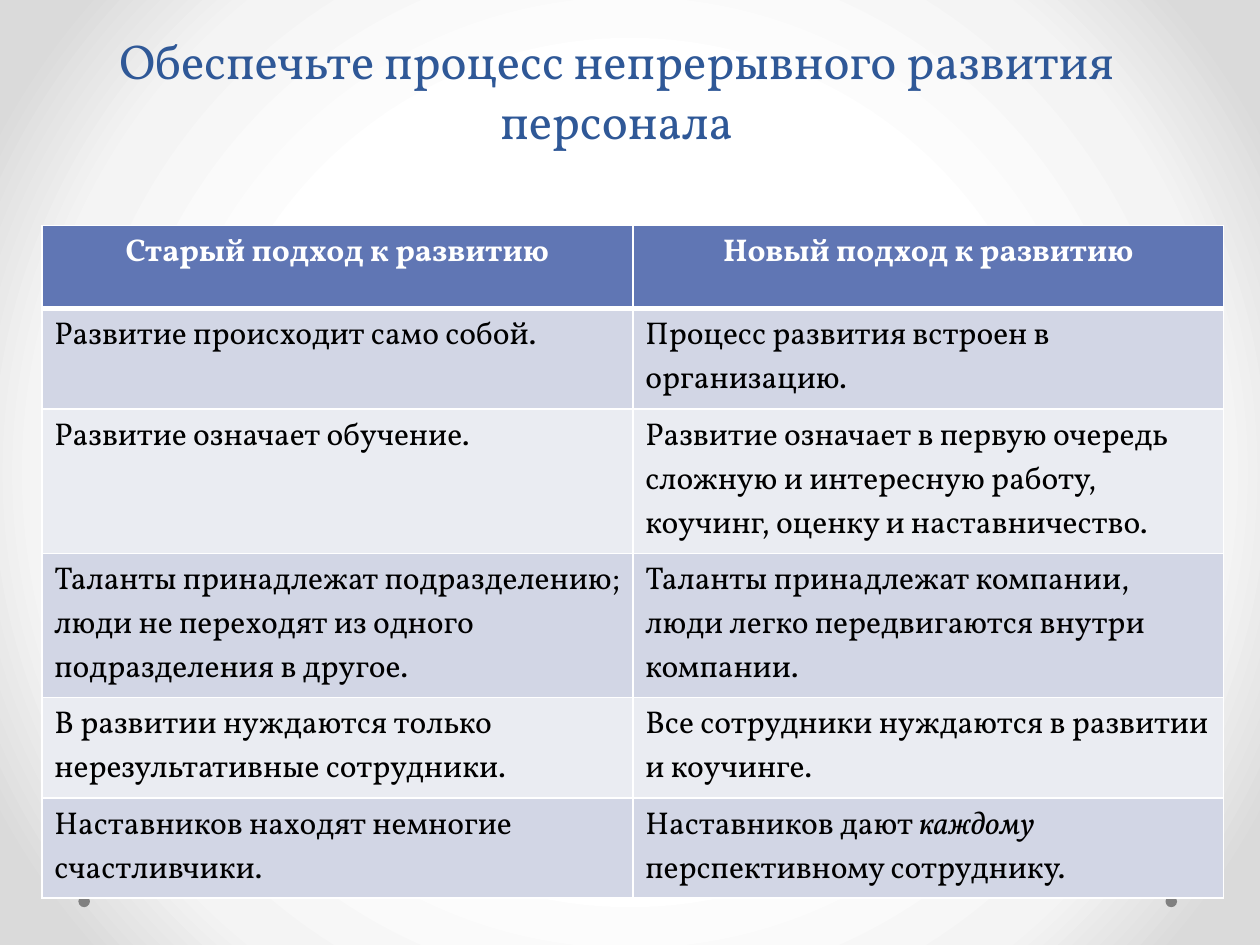
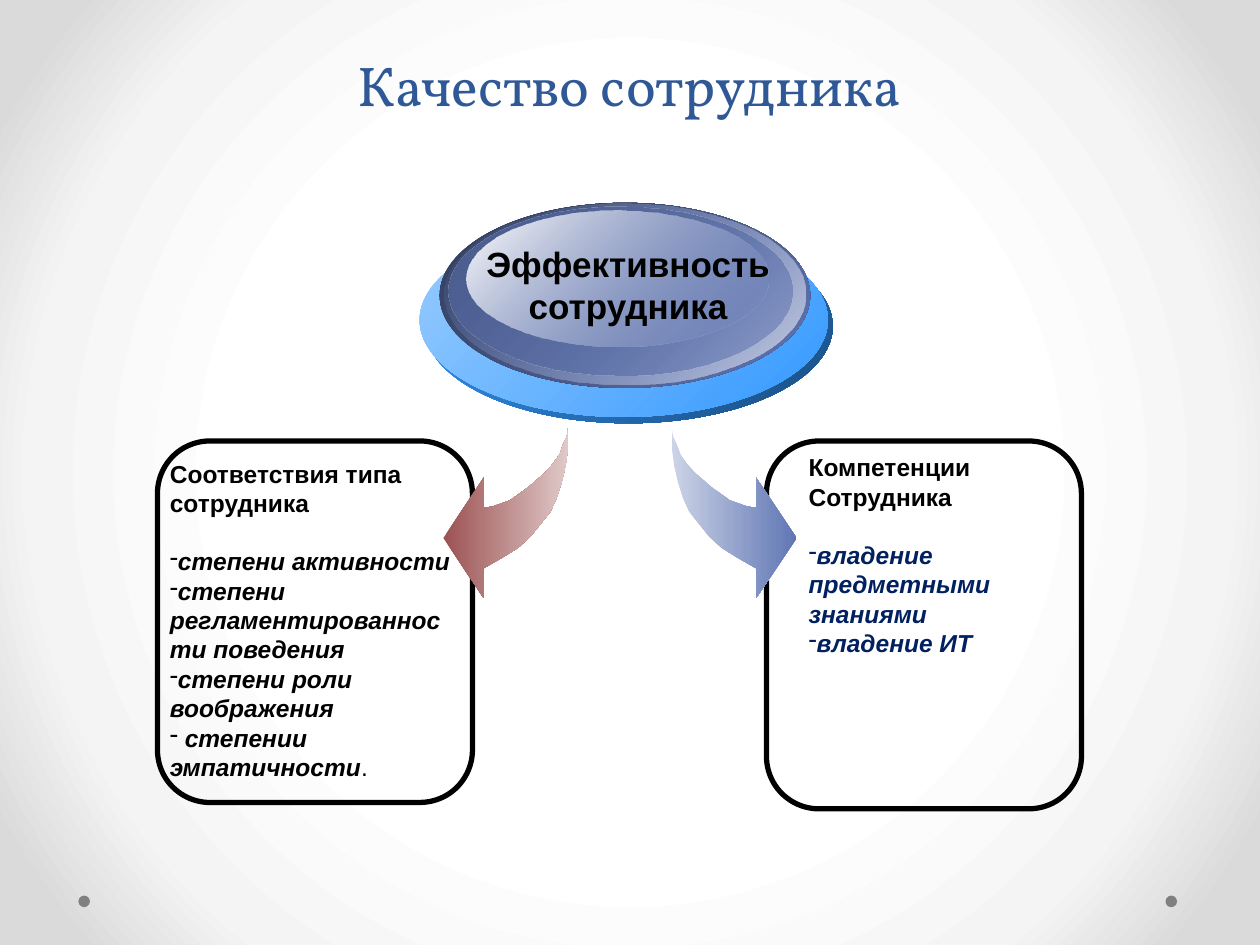
import dataclasses

import pptx
import pptx.dml.color
import pptx.enum.shapes
import pptx.enum.text
import pptx.oxml
import pptx.oxml.ns
import pptx.util
from lxml import etree

Pt = pptx.util.Pt
KIND = pptx.enum.shapes.MSO_SHAPE
SIDE = pptx.enum.text.PP_ALIGN
EDGE = pptx.enum.text.MSO_ANCHOR
qn = pptx.oxml.ns.qn


@dataclasses.dataclass(frozen=True)
class Theme:
    serif: str = "Vollkorn"
    sans: str = "Arial"
    title: str = "2F5897"
    black: str = "000000"
    white: str = "FFFFFF"
    navy: str = "002060"
    dot: str = "808080"
    blue: str = "6076B4"
    red: str = "9C5252"
    pale: str = "CDD4E7"
    rose: str = "E0C9C9"
    sky: str = "3399FF"
    mist: str = "99CCFF"
    deep: str = "1A4D80"
    dusk: str = "303B5A"
    steel: str = "4D5E90"
    haze: str = "C8CFE5"
    bands: tuple = ("D2D6E5", "EAECF2")
    back: tuple = ((50, "FFFFFF"), (76, "F4F4F4"), (92, "DADADA"))
    disc: int = 20
    cell: int = 18
    note: int = 14
    lead: float = 34.3
    gap: float = 16.5


def rgb(color):
    return pptx.dml.color.RGBColor.from_string(color)


class Deck:
    """Holds the theme and the current slide, and draws each kind of element."""

    def __init__(self, theme):
        self.theme = theme
        self.prs = pptx.Presentation()
        self.prs.slide_width, self.prs.slide_height = Pt(720), Pt(540)
        master = self.prs.slide_master
        self.blend(master.background.fill, master._element, theme.back)

    def page(self, title, size, box):
        self.slide = self.prs.slides.add_slide(self.prs.slide_layouts[6])
        for left in (44.8, 666):
            self.shape(KIND.OVAL, (left, 511.8, 6.6, 6.6), self.theme.dot)
        frame = self.text(box)
        frame.vertical_anchor = EDGE.BOTTOM
        para = self.para(frame, title, size, self.theme.title,
                         font=self.theme.serif, align=SIDE.CENTER)
        para.line_spacing = Pt(self.theme.lead)

    def blend(self, fill, root, stops, angle=None):
        fill.gradient()
        grad = root.find(".//" + qn("a:gradFill"))
        for child in list(grad):
            grad.remove(child)
        row = etree.SubElement(grad, qn("a:gsLst"))
        for pos, color, *alpha in stops:
            stop = etree.SubElement(row, qn("a:gs"), pos=str(pos * 1000))
            tone = etree.SubElement(stop, qn("a:srgbClr"), val=color)
            for part in alpha:
                etree.SubElement(tone, qn("a:alpha"), val=str(part * 1000))
        if angle is None:
            way = etree.SubElement(grad, qn("a:path"), path="circle")
            etree.SubElement(way, qn("a:fillToRect"),
                             dict.fromkeys("ltrb", "50000"))
        else:
            etree.SubElement(grad, qn("a:lin"), ang=str(angle * 60000), scaled="1")

    def paint(self, shape, fill, line=None, angle=45):
        shape.shadow.inherit = False
        if fill is None:
            shape.fill.background()
        elif isinstance(fill, str):
            shape.fill.solid()
            shape.fill.fore_color.rgb = rgb(fill)
        else:
            self.blend(shape.fill, shape._element, fill, angle)
        if line:
            shape.line.color.rgb = rgb(line)
            shape.line.width = Pt(3)
        else:
            shape.line.fill.background()

    def shape(self, kind, box, fill=None, line=None):
        shape = self.slide.shapes.add_shape(kind, *map(Pt, box))
        self.paint(shape, fill, line)

    def outline(self, points, stops):
        first, *rest = [(Pt(x), Pt(y)) for x, y in points]
        pen = self.slide.shapes.build_freeform(*first, scale=1.0)
        pen.add_line_segments(rest, close=True)
        self.paint(pen.convert_to_shape(), stops, angle=0)

    def text(self, box):
        frame = self.slide.shapes.add_textbox(*map(Pt, box)).text_frame
        frame.word_wrap = True
        return frame

    def para(self, frame, text, size, color, font=None, bold=False,
             ital=False, align=None, gap=0, dash=False):
        para = frame.paragraphs[0] if not frame.text else frame.add_paragraph()
        if align is not None:
            para.alignment = align
        if gap:
            para.space_before = Pt(gap)
        if dash:
            prop = para._p.get_or_add_pPr()
            prop.set("marL", "0")
            prop.set("indent", "0")
            etree.SubElement(prop, qn("a:buFontTx"))
            etree.SubElement(prop, qn("a:buChar"), char="-")
        face = para.font
        face.name, face.size = font or self.theme.sans, Pt(size)
        face.bold, face.italic = bold, ital
        face.color.rgb = rgb(color)
        self.run(para, text)
        return para

    def run(self, para, text, **style):
        run = para.add_run()
        run.text = text
        for name, value in style.items():
            setattr(run.font, name, value)

    def edge(self, cell, tag, width):
        line = etree.SubElement(cell._tc.get_or_add_tcPr(), qn("a:" + tag),
                                w=str(Pt(width)))
        fill = etree.SubElement(line, qn("a:solidFill"))
        etree.SubElement(fill, qn("a:srgbClr"), val=self.theme.white)

    def table(self, left, top, wide, highs, rows):
        look = self.theme
        cols = len(rows[0])
        grid = self.slide.shapes.add_table(
            len(rows), cols, Pt(left), Pt(top), Pt(wide * cols), Pt(sum(highs))).table
        for col in grid.columns:
            col.width = Pt(wide)
        for i, (row, high) in enumerate(zip(rows, highs)):
            grid.rows[i].height = Pt(high)
            head = i == 0
            for j, lines in enumerate(row):
                cell = grid.cell(i, j)
                for tag, width in (("lnL", 1), ("lnR", 1),
                                   ("lnT", 3 if i == 1 else 1),
                                   ("lnB", 3 if head else 1)):
                    self.edge(cell, tag, width)
                cell.fill.solid()
                cell.fill.fore_color.rgb = rgb(look.blue if head else look.bands[(i - 1) % 2])
                for line in lines.split("\n"):
                    self.para(cell.text_frame, line, look.cell,
                              look.white if head else look.black,
                              font=look.serif, bold=head,
                              align=SIDE.CENTER if head else SIDE.LEFT)
        return grid


ROWS = [
    ("Старый подход к развитию", "Новый подход к развитию"),
    ("Развитие происходит само собой.", "Процесс развития встроен в организацию."),
    ("Развитие означает обучение.",
     "Развитие означает в первую очередь сложную и интересную работу, "
     "коучинг, оценку и наставничество."),
    ("Таланты принадлежат подразделению;\n"
     "люди не переходят из одного подразделения в другое.",
     "Таланты принадлежат компании, люди легко передвигаются внутри компании."),
    ("В развитии нуждаются только нерезультативные сотрудники.",
     "Все сотрудники нуждаются в развитии и коучинге."),
    ("Наставников находят немногие счастливчики.", "Наставников дают"),
]

DISCS = [
    ((242.6, 131, 233.3, 110.9), (Theme.sky,), (Theme.deep,)),
    ((239.8, 127.4, 233.3, 110.9), (Theme.mist,), (Theme.sky,)),
    ((251.3, 115.9, 211.7, 105.8), (Theme.dusk,), (Theme.blue,)),
    ((254.2, 116.6, 205.9, 103), (Theme.blue, 0), (Theme.haze,)),
    ((256.3, 118.1, 196.6, 96.5), (Theme.steel,), (Theme.blue, 48)),
    ((266.4, 120.2, 172.8, 77.8), (Theme.white,), (Theme.blue, 38)),
]

ARROW = [
    (0, 0), (0, 11.5), (1.4, 21.6), (3.6, 31), (6.5, 40.3), (10.1, 48.2),
    (15.8, 55.4), (21.6, 62.6), (28.8, 69.1), (38.2, 74.9), (48.2, 80.6),
    (48.2, 97.9), (71.3, 63.4), (48.2, 28.8), (48.2, 46.1), (43.2, 45.4),
    (38.9, 43.9), (33.1, 41.8), (28.1, 38.2), (23, 34.6), (18, 30.2),
    (13, 25.9), (8.6, 20.9), (5, 15.8), (2.9, 10.1), (0.7, 5),
]


def growth(deck):
    deck.page("Обеспечьте процесс непрерывного развития персонала", 28,
              (55.4, 50.5, 594, 38.2))
    grid = deck.table(23.9, 128.9, 337.7, (47.5, 57.3, 82.5, 82.5, 57.3, 57.3), ROWS)
    last = grid.cell(5, 1).text_frame.paragraphs[0]
    deck.run(last, " каждому", italic=True)
    deck.run(last, " перспективному сотруднику.")


def quality(deck):
    look = deck.theme
    deck.page("Качество сотрудника", 32, (36, 0, 648, 71))
    for left, high in ((438, 210.2), (90, 206.6)):
        deck.shape(KIND.ROUNDED_RECTANGLE, (left, 252, 180, high), line=look.black)

    frame = deck.text((90, 258.5, 180, 227.5))
    deck.para(frame, "Соответствия типа сотрудника", look.note, look.black, bold=True)
    for i, item in enumerate(("степени активности",
                              "степени регламентированности поведения",
                              "степени роли воображения",
                              " степении эмпатичности")):
        para = deck.para(frame, item, look.note, look.black, bold=True, ital=True,
                         gap=0 if i else look.gap, dash=True)
    deck.run(para, ".", bold=False, italic=False)

    for tail, side, stops in ((324.7, -1, ((0, look.red), (100, look.rose))),
                              (383.8, 1, ((0, look.pale), (100, look.blue)))):
        deck.outline([(tail + side * x, 244.1 + y) for x, y in ARROW], stops)

    for box, start, end in DISCS:
        deck.shape(KIND.OVAL, box, ((0, *start), (100, *end)))
    frame = deck.text((258.5, 135, 200.9, 55.4))
    for word in ("Эффективность", "сотрудника"):
        deck.para(frame, word, look.disc, look.black, bold=True, align=SIDE.CENTER)

    frame = deck.text((455, 254.9, 160.6, 143.3))
    for word in ("Компетенции", "Сотрудника"):
        deck.para(frame, word, look.note, look.black, bold=True)
    for i, item in enumerate(("владение предметными знаниями", "владение ИТ")):
        deck.para(frame, item, look.note, look.navy, bold=True, ital=True,
                  gap=0 if i else look.gap, dash=True)


def main():
    deck = Deck(Theme())
    growth(deck)
    quality(deck)
    deck.prs.save("out.pptx")


if __name__ == "__main__":
    main()
